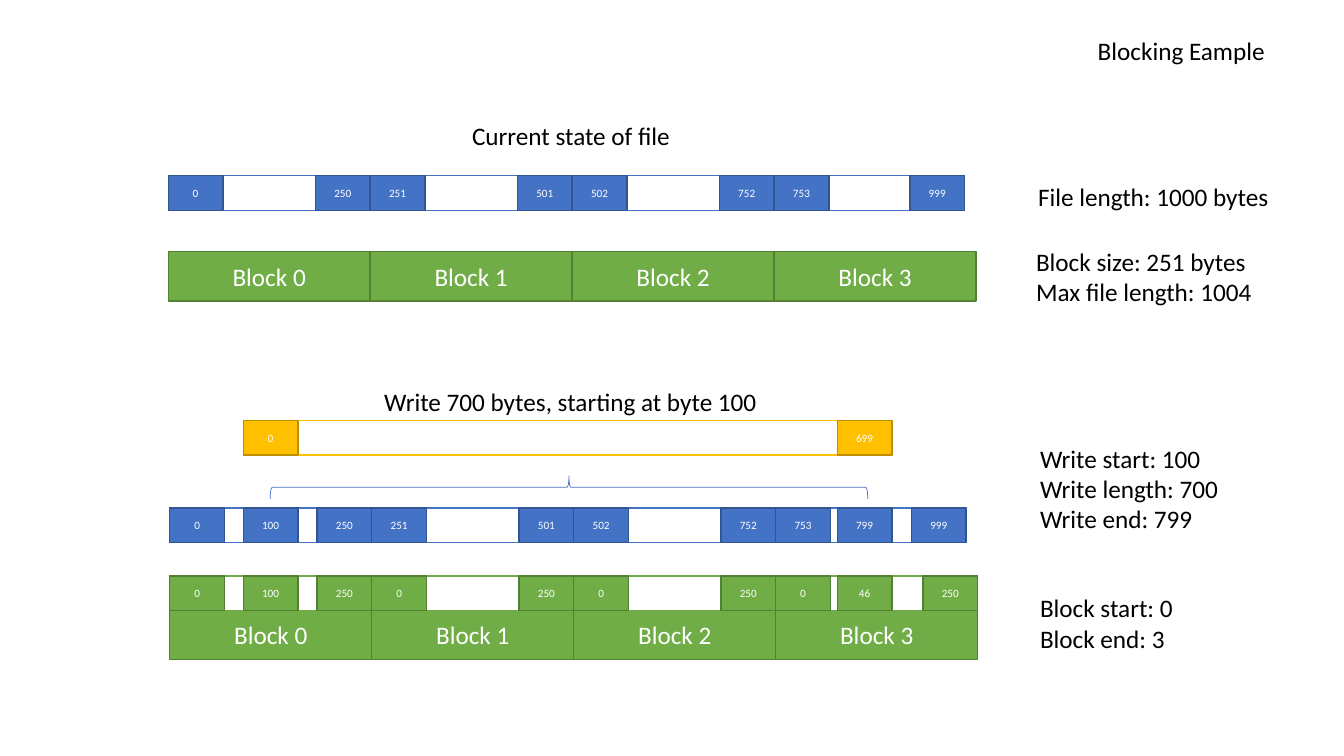
"""Build a slide on how a byte range maps onto file blocks."""
from pptx import Presentation
from pptx.dml.color import RGBColor as Rgb
from pptx.enum import shapes as s, text as t
from pptx.util import Cm, Pt

HUES = {
    "black": "000000", "white": "FFFFFF",
    "blue": "4472C4", "navy": "325491",
    "green": "70AD47", "moss": "538035",
    "gold": "FFC000", "brown": "BD8E00",
}
EDGES = {"blue": "navy", "green": "moss", "gold": "brown"}
STEP, CELL, ROW, BLOCK = 5.09, 1.38, 0.87, 1.25
SPAN = 20.07
TAIL = STEP - CELL


def write(frame, words, size=18, hue="black", align="CENTER", wrap=False):
    frame.word_wrap = wrap
    frame.auto_size = t.MSO_AUTO_SIZE.NONE
    frame.vertical_anchor = t.MSO_ANCHOR.MIDDLE
    frame.text = words
    for par in frame.paragraphs:
        par.alignment = getattr(t.PP_ALIGN, align)
        par.line_spacing = 1.0
        font = par.runs[0].font
        font.name, font.size = "Calibri", Pt(size)
        font.color.rgb = Rgb.from_string(HUES[hue])


def box(x, y, wide, high, hue, words="", size=8):
    rect = slide.shapes.add_shape(
        s.MSO_SHAPE.RECTANGLE, Cm(x), Cm(y), Cm(wide), Cm(high))
    rect.shadow.inherit = False
    rect.fill.solid()
    rect.fill.fore_color.rgb = Rgb.from_string(HUES[hue if words else "white"])
    rect.line.color.rgb = Rgb.from_string(HUES[EDGES[hue] if words else hue])
    rect.line.width = Pt(1)
    if words:
        write(rect.text_frame, words, size=size, hue="white", wrap=True)


deck = Presentation()
deck.slide_width, deck.slide_height = Cm(33.87), Cm(19.05)
slide = deck.slides.add_slide(deck.slide_layouts[5])

title = slide.shapes.title
title.left, title.top, title.width, title.height = Cm(27.38), Cm(0.76), Cm(4.78), Cm(1.02)
write(title.text_frame, "Blocking Eample")

labels = [
    (11.61, 2.9, 5.56, 1.02, "CENTER", "Current state of file"),
    (9.37, 9.6, 10.01, 1.02, "CENTER", "Write 700 bytes, starting at byte 100"),
    (25.91, 4.45, 6.4, 1.02, "LEFT", "File length: 1000 bytes"),
    (25.86, 6.07, 6.02, 1.8, "LEFT", "Block size: 251 bytes\nMax file length: 1004"),
    (25.96, 11.02, 5.05, 2.57, "LEFT",
     "Write start: 100\nWrite length: 700\nWrite end: 799"),
    (25.96, 14.8, 3.89, 1.8, "LEFT", "Block start: 0\nBlock end: 3"),
]
for x, y, wide, high, align, words in labels:
    note = slide.shapes.add_textbox(Cm(x), Cm(y), Cm(wide), Cm(high))
    write(note.text_frame, words, align=align)

bounds = [(0, 250), (251, 501), (502, 752), (753, 999)]
for left, file_y, block_y in [(4.24, 4.43, 6.34), (4.28, 12.8, 15.37)]:
    box(left, file_y, SPAN, ROW, "blue")
    for i, (first, last) in enumerate(bounds):
        x = left + i * STEP
        end = min(x + STEP, left + SPAN)
        box(x, file_y, CELL, ROW, "blue", str(first))
        box(end - CELL, file_y, CELL, ROW, "blue", str(last))
        box(x, block_y, STEP, BLOCK, "green", f"Block {i}", size=18)

start, stop = 6.13, 21.1
part_y = 14.52
for i in range(4):
    x = left + i * STEP
    box(x, part_y, STEP, ROW, "green")
    box(x, part_y, CELL, ROW, "green", "0")
    box(x + TAIL, part_y, CELL, ROW, "green", "250")

write_y = 10.6
box(start, write_y, stop + CELL - start, ROW, "gold")
marks = [
    (write_y, "gold", "0", "699"),
    (file_y, "blue", "100", "799"),
    (part_y, "green", "100", "46"),
]
for y, hue, first, last in marks:
    box(start, y, CELL, ROW, hue, first)
    box(stop, y, CELL, ROW, hue, last)

brace = slide.shapes.add_shape(
    s.MSO_SHAPE.RIGHT_BRACE, Cm(14.05), Cm(4.75), Cm(0.58), Cm(15.06))
brace.rotation = 270
brace.shadow.inherit = False
brace.fill.background()
brace.line.color.rgb = Rgb.from_string(HUES["blue"])
brace.line.width = Pt(0.5)

deck.save("out.pptx")
